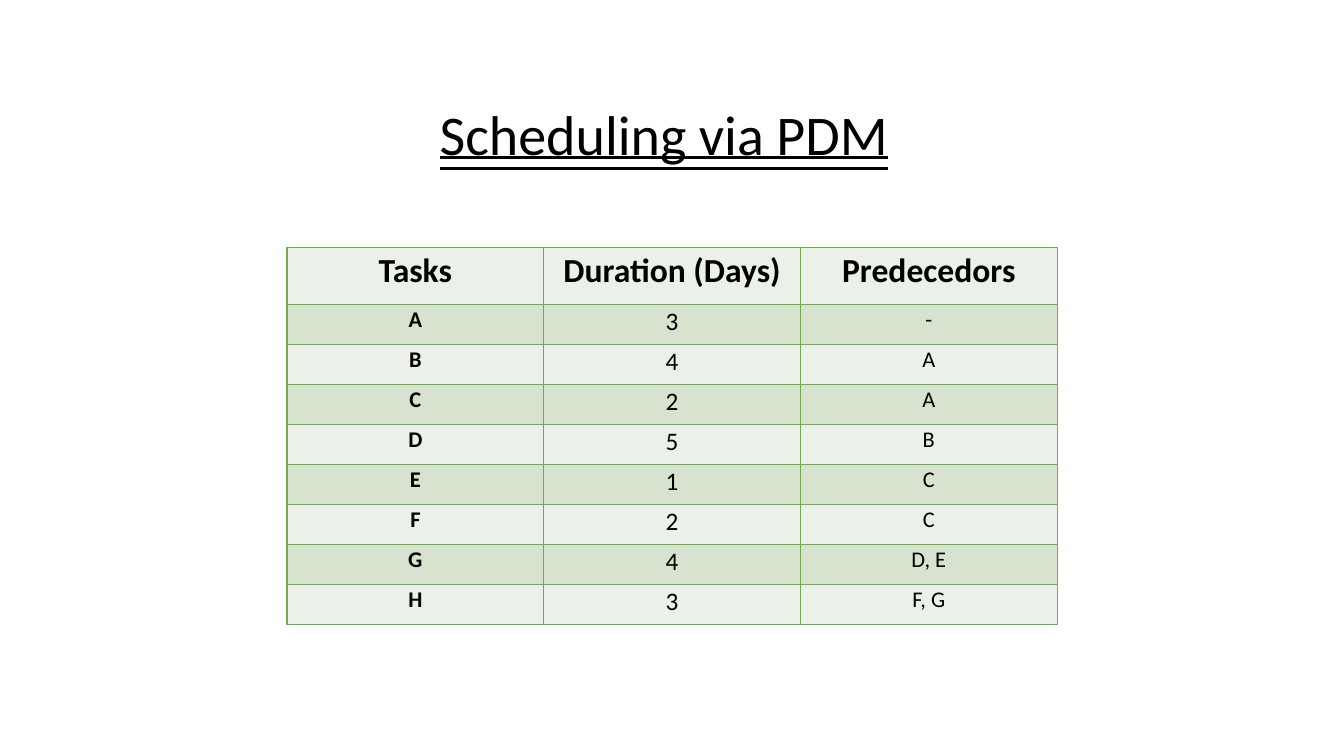
"""Build a slide with a task schedule for the precedence diagram method."""
from dataclasses import dataclass

from lxml.etree import SubElement
from pptx import Presentation
from pptx.dml.color import RGBColor as Rgb
from pptx.enum.text import MSO_ANCHOR as Anchor, MSO_AUTO_SIZE as Fit
from pptx.enum.text import MSO_UNDERLINE as Underline, PP_ALIGN as Align
from pptx.oxml.ns import qn
from pptx.util import Pt


@dataclass(frozen=True)
class Theme:
    font: str = "Calibri"
    ink: str = "000000"
    border: str = "70AD47"
    bands: tuple = ("EBF1E9", "D5E3CF")
    title_size: int = 40
    header_size: int = 24
    column_sizes: tuple = (16, 18, 16)


HEADINGS = ("Tasks", "Duration (Days)", "Predecedors")
TASKS = (
    ("A", "3", "-"),
    ("B", "4", "A"),
    ("C", "2", "A"),
    ("D", "5", "B"),
    ("E", "1", "C"),
    ("F", "2", "C"),
    ("G", "4", "D, E"),
    ("H", "3", "F, G"),
)


def write(frame, text, *, theme, size, bold=False, underline=None, after=0):
    paragraph = frame.paragraphs[0]
    paragraph.alignment = Align.CENTER
    paragraph.line_spacing = 1.07
    paragraph.space_before = Pt(0)
    paragraph.space_after = Pt(after)
    run = paragraph.add_run()
    run.text = text
    font = run.font
    font.name, font.size, font.bold = theme.font, Pt(size), bold
    font.underline = underline
    font.color.rgb = Rgb.from_string(theme.ink)


class ScheduleSlide:
    def __init__(self, deck, theme):
        self.theme = theme
        self.slide = deck.slides.add_slide(deck.slide_layouts[5])

    def title(self, text, left, top, width, height):
        heading = self.slide.shapes.title
        heading.left, heading.top = Pt(left), Pt(top)
        heading.width, heading.height = Pt(width), Pt(height)
        frame = heading.text_frame
        frame.word_wrap = True
        frame.auto_size = Fit.SHAPE_TO_FIT_TEXT
        frame.vertical_anchor = Anchor.TOP
        write(frame, text, theme=self.theme, size=self.theme.title_size,
              underline=Underline.DOUBLE_LINE, after=8)

    def table(self, rows, left, top, column_width, header_height, row_height):
        columns = len(rows[0])
        height = header_height + row_height * (len(rows) - 1)
        schedule = self.slide.shapes.add_table(
            len(rows), columns, Pt(left), Pt(top),
            Pt(column_width * columns), Pt(height)).table
        for column in schedule.columns:
            column.width = Pt(column_width)
        for index, values in enumerate(rows):
            is_header = index == 0
            schedule.rows[index].height = Pt(header_height if is_header else row_height)
            for column, value in enumerate(values):
                cell = schedule.cell(index, column)
                self.style_cell(cell, self.theme.bands[index % 2])
                size = self.theme.header_size if is_header else self.theme.column_sizes[column]
                write(cell.text_frame, value, theme=self.theme, size=size,
                      bold=is_header or column == 0)

    def style_cell(self, cell, color):
        cell.margin_left = cell.margin_right = Pt(5.4)
        cell.margin_top = cell.margin_bottom = Pt(0)
        cell.vertical_anchor = Anchor.TOP
        properties = cell._tc.get_or_add_tcPr()
        for side in ("lnL", "lnR", "lnT", "lnB"):
            edge = SubElement(properties, qn(f"a:{side}"), w=str(Pt(1)))
            fill = SubElement(edge, qn("a:solidFill"))
            SubElement(fill, qn("a:srgbClr"), val=self.theme.border)
        cell.fill.solid()
        cell.fill.fore_color.rgb = Rgb.from_string(color)


def main():
    deck = Presentation()
    deck.slide_width, deck.slide_height = Pt(960), Pt(540)
    schedule = ScheduleSlide(deck, Theme())
    schedule.title("Scheduling via PDM", left=304.6, top=64, width=339, height=57)
    schedule.table((HEADINGS, *TASKS), left=205, top=176.6,
                   column_width=183.4, header_height=41, row_height=28.6)
    deck.save("out.pptx")


if __name__ == "__main__":
    main()
